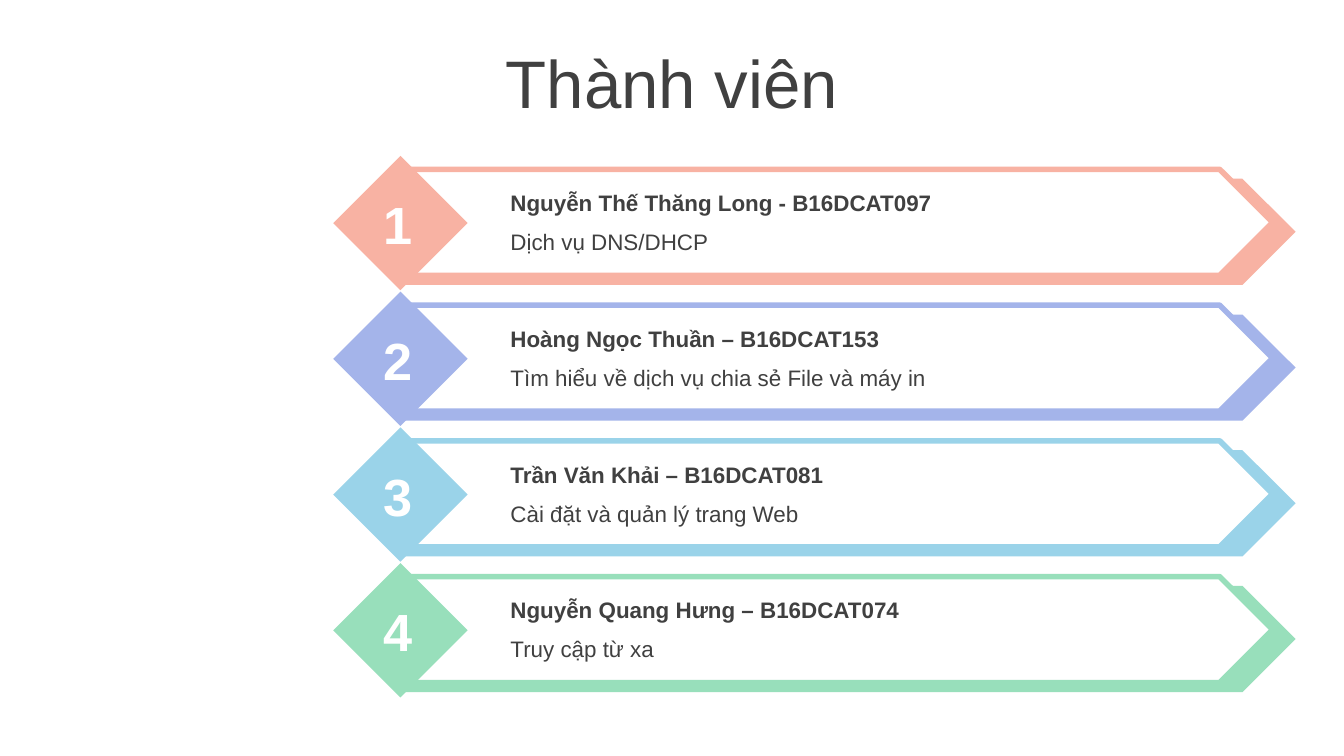
from dataclasses import dataclass

from pptx import Presentation
from pptx.dml.color import RGBColor
from pptx.enum.shapes import MSO_SHAPE
from pptx.enum.text import MSO_ANCHOR, MSO_AUTO_SIZE, PP_ALIGN
from pptx.util import Inches, Pt

PENTAGON, DIAMOND = MSO_SHAPE.PENTAGON, MSO_SHAPE.DIAMOND
MIDDLE, TOP = MSO_ANCHOR.MIDDLE, MSO_ANCHOR.TOP
CENTER, LEFT = PP_ALIGN.CENTER, PP_ALIGN.LEFT
NO_AUTOFIT = MSO_AUTO_SIZE.NONE
TITLE_ONLY = 5


@dataclass(frozen=True)
class Theme:
    font: str = "Arial"
    ink: str = "404040"
    paper: str = "FFFFFF"
    title_size: int = 36
    number_size: int = 28
    label_size: int = 12
    outline: int = 3


@dataclass(frozen=True)
class Box:
    left: float
    top: float
    width: float
    height: float

    def lowered(self, distance: float) -> "Box":
        return Box(self.left, self.top + distance, self.width, self.height)

    def lengths(self) -> list:
        return [Inches(value) for value in (self.left, self.top, self.width, self.height)]


@dataclass(frozen=True)
class Member:
    name: str
    topic: str
    color: str


THEME = Theme()
SLIDE_WIDTH = 10
SLIDE_HEIGHT = SLIDE_WIDTH * 9 / 16
ROW_TOP, ROW_PITCH = 1.16, 1.01
TITLE = Box(0, 0.29, SLIDE_WIDTH, 0.63)
BACK_ARROW = Box(3, 0.17, 6.64, 0.79)
FRONT_ARROW = Box(3, 0.1, 6.47, 0.79)
BADGE = Box(2.48, 0, 1, 1)
NUMBER = Box(2.74, 0.22, 0.44, 0.57)
NAME = Box(3.7, 0.2, 5.2, 0.3)
TOPIC = NAME.lowered(0.29)

MEMBERS = [
    Member("Nguyễn Thế Thăng Long - B16DCAT097", "Dịch vụ DNS/DHCP", "F8B2A3"),
    Member("Hoàng Ngọc Thuần – B16DCAT153", "Tìm hiểu về dịch vụ chia sẻ File và máy in", "A4B4EA"),
    Member("Trần Văn Khải – B16DCAT081", "Cài đặt và quản lý trang Web", "9AD3E9"),
    Member("Nguyễn Quang Hưng – B16DCAT074", "Truy cập từ xa", "98DFBB"),
]


def write_text(shape, text: str, size: int, color: str = THEME.ink, bold: bool = False,
               alignment=LEFT, anchor=TOP) -> None:
    frame = shape.text_frame
    frame_format = {"word_wrap": True, "auto_size": NO_AUTOFIT, "vertical_anchor": anchor}
    for attribute, value in frame_format.items():
        setattr(frame, attribute, value)
    paragraph = frame.paragraphs[0]
    paragraph.alignment = alignment
    run = paragraph.add_run()
    run.text = text
    font_format = {"name": THEME.font, "size": Pt(size), "bold": bold}
    for attribute, value in font_format.items():
        setattr(run.font, attribute, value)
    run.font.color.rgb = RGBColor.from_string(color)


def draw_shape(slide, kind, box: Box, fill: str, outline: str = "") -> None:
    shape = slide.shapes.add_shape(kind, *box.lengths())
    shape.shadow.inherit = False
    shape.fill.solid()
    shape.fill.fore_color.rgb = RGBColor.from_string(fill)
    if outline:
        shape.line.color.rgb = RGBColor.from_string(outline)
        shape.line.width = Pt(THEME.outline)
    else:
        shape.line.fill.background()


def draw_label(slide, box: Box, text: str, size: int, **text_format) -> None:
    write_text(slide.shapes.add_textbox(*box.lengths()), text, size, **text_format)


def draw_title(slide, text: str) -> None:
    title = slide.shapes.title
    for attribute, value in zip(("left", "top", "width", "height"), TITLE.lengths()):
        setattr(title, attribute, value)
    write_text(title, text, THEME.title_size, alignment=CENTER, anchor=MIDDLE)


def draw_member(slide, index: int, member: Member) -> None:
    top = ROW_TOP + index * ROW_PITCH
    draw_shape(slide, PENTAGON, BACK_ARROW.lowered(top), member.color)
    draw_shape(slide, PENTAGON, FRONT_ARROW.lowered(top), THEME.paper, member.color)
    draw_shape(slide, DIAMOND, BADGE.lowered(top), member.color)
    draw_label(slide, NUMBER.lowered(top), str(index + 1), THEME.number_size,
               color=THEME.paper, bold=True, alignment=CENTER, anchor=MIDDLE)
    draw_label(slide, NAME.lowered(top), member.name, THEME.label_size, bold=True)
    draw_label(slide, TOPIC.lowered(top), member.topic, THEME.label_size)


def main() -> None:
    presentation = Presentation()
    presentation.slide_width = Inches(SLIDE_WIDTH)
    presentation.slide_height = Inches(SLIDE_HEIGHT)
    slide = presentation.slides.add_slide(presentation.slide_layouts[TITLE_ONLY])
    draw_title(slide, "Thành viên")
    for index, member in enumerate(MEMBERS):
        draw_member(slide, index, member)
    presentation.save("out.pptx")


main()
